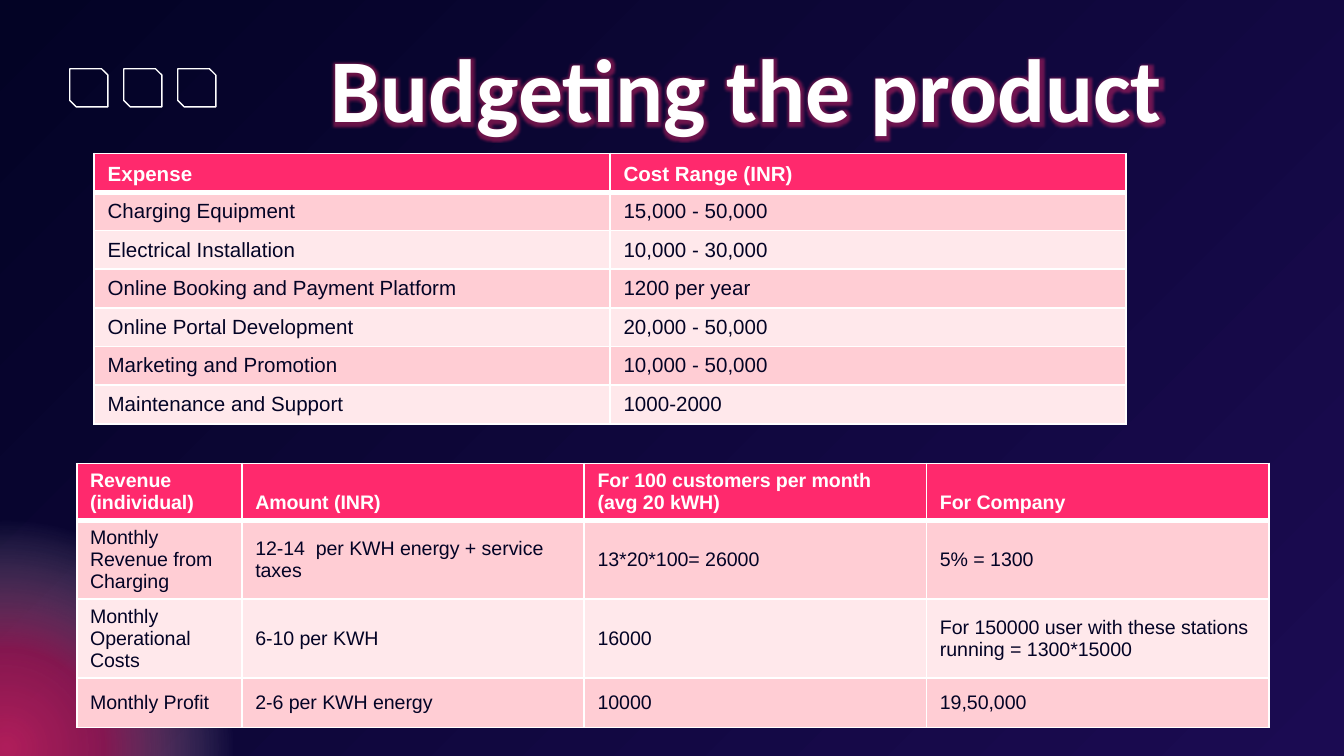
from lxml import etree
from pptx import Presentation
from pptx.dml.color import RGBColor
from pptx.enum.shapes import MSO_SHAPE
from pptx.enum.text import MSO_ANCHOR, PP_ALIGN
from pptx.oxml import parse_xml
from pptx.oxml.ns import qn
from pptx.util import Cm, Pt

OVAL = MSO_SHAPE.OVAL
SNIPPED = MSO_SHAPE.SNIP_2_DIAG_RECTANGLE
MIDDLE, BOTTOM = MSO_ANCHOR.MIDDLE, MSO_ANCHOR.BOTTOM
CENTER = PP_ALIGN.CENTER
DRAWING_NS = "http://schemas.openxmlformats.org/drawingml/2006/main"

EXPENSES = [
    ("Expense", "Cost Range (INR)"),
    ("Charging Equipment", "15,000 - 50,000"),
    ("Electrical Installation", "10,000 - 30,000"),
    ("Online Booking and Payment Platform", "1200 per year"),
    ("Online Portal Development", "20,000 - 50,000"),
    ("Marketing and Promotion", "10,000 - 50,000"),
    ("Maintenance and Support", "1000-2000"),
]
REVENUE = [
    ("Revenue\n(individual)", "Amount (INR)",
     "For 100 customers per month (avg 20 kWH)", "For Company"),
    ("Monthly Revenue from Charging", "12-14  per KWH energy + service taxes",
     "13*20*100= 26000", "5% = 1300"),
    ("Monthly Operational Costs", "6-10 per KWH", "16000",
     "For 150000 user with these stations running = 1300*15000"),
    ("Monthly Profit", "2-6 per KWH energy", "10000", "19,50,000"),
]


def rgb(color):
    return RGBColor.from_string(color)


class BudgetSlide:
    PINK, WHITE, NAVY, VIOLET = "FF296D", "FFFFFF", "030325", "1B0B52"
    BANDS = ("FFCDD4", "FFE8EB")
    TITLE_FONT, BODY_FONT = "Calibri", "Arial"

    def __init__(self, presentation):
        self.slide = presentation.slides.add_slide(presentation.slide_layouts[5])
        self.shapes = self.slide.shapes

    def background(self):
        fill = self.slide.background.fill
        fill.gradient()
        fill.gradient_angle = 315
        for stop, color in zip(fill.gradient_stops, (self.NAVY, self.VIOLET)):
            stop.color.rgb = rgb(color)

    def format_font(self, paragraph, font_name, size, color, bold):
        for run in paragraph.runs:
            font = run.font
            font.name, font.size, font.bold = font_name, Pt(size), bold
            font.color.rgb = rgb(color)

    def halo(self, left, top, diameter):
        """Round glow that fades out from its centre."""
        glow = self.shapes.add_shape(OVAL, Cm(left), Cm(top), Cm(diameter), Cm(diameter))
        glow.shadow.inherit = False
        glow.line.fill.background()
        stops = [(0, self.PINK, 67), (30, self.PINK, 49), (69, self.WHITE, 0), (100, self.WHITE, 0)]
        stop_xml = "".join(
            f'<a:gs pos="{position * 1000}"><a:srgbClr val="{color}">'
            f'<a:alpha val="{alpha * 1000}"/></a:srgbClr></a:gs>'
            for position, color, alpha in stops)
        gradient = parse_xml(
            f'<a:gradFill xmlns:a="{DRAWING_NS}" rotWithShape="1"><a:gsLst>{stop_xml}</a:gsLst>'
            '<a:path path="circle"><a:fillToRect l="50000" t="50000" r="50000" b="50000"/>'
            '</a:path></a:gradFill>')
        glow._element.spPr.find(qn("a:prstGeom")).addnext(gradient)

    def snipped_square(self, left, top, side):
        square = self.shapes.add_shape(SNIPPED, Cm(left), Cm(top), Cm(side), Cm(side))
        square.shadow.inherit = False
        square.adjustments[0], square.adjustments[1] = 0, 0.167
        square.fill.background()
        square.line.color.rgb = rgb(self.WHITE)
        square.line.width = Pt(0.75)

    def title(self, text, left, top, width, height):
        heading = self.shapes.title
        heading.left, heading.top = Cm(left), Cm(top)
        heading.width, heading.height = Cm(width), Cm(height)
        frame = heading.text_frame
        frame.text = text
        frame.vertical_anchor = MIDDLE
        frame.margin_left = frame.margin_right = Cm(0.25)
        frame.margin_top = frame.margin_bottom = Cm(0.25)
        paragraph = frame.paragraphs[0]
        paragraph.alignment = CENTER
        self.format_font(paragraph, self.TITLE_FONT, 48, self.WHITE, True)
        glow = parse_xml(
            f'<a:effectLst xmlns:a="{DRAWING_NS}"><a:glow rad="63500">'
            f'<a:srgbClr val="{self.PINK}"><a:alpha val="40000"/></a:srgbClr>'
            '</a:glow></a:effectLst>')
        paragraph.runs[0].font._element.find(qn("a:solidFill")).addnext(glow)
        self.shapes._spTree.append(heading._element)

    def cell_borders(self, cell, top, bottom):
        properties = cell._tc.get_or_add_tcPr()
        for side, points in (("lnL", 1), ("lnR", 1), ("lnT", top), ("lnB", bottom)):
            border = etree.SubElement(properties, qn(f"a:{side}"), w=str(Pt(points)))
            fill = etree.SubElement(border, qn("a:solidFill"))
            etree.SubElement(fill, qn("a:srgbClr"), val=self.WHITE)

    def table(self, rows, left, top, widths, heights, size):
        table = self.shapes.add_table(
            len(rows), len(widths), Cm(left), Cm(top),
            Cm(sum(widths)), Cm(sum(heights))).table
        for column, width in zip(table.columns, widths):
            column.width = Cm(width)
        for row, height in zip(table.rows, heights):
            row.height = Cm(height)
        for row_index, texts in enumerate(rows):
            header = row_index == 0
            band = self.PINK if header else self.BANDS[(row_index - 1) % 2]
            for column_index, text in enumerate(texts):
                cell = table.cell(row_index, column_index)
                cell.text_frame.text = text
                cell.vertical_anchor = BOTTOM if header else MIDDLE
                self.cell_borders(cell, top=3 if row_index == 1 else 1, bottom=3 if header else 1)
                cell.fill.solid()
                cell.fill.fore_color.rgb = rgb(band)
                for paragraph in cell.text_frame.paragraphs:
                    self.format_font(paragraph, self.BODY_FONT, size,
                                     self.WHITE if header else self.NAVY, header)


def main():
    presentation = Presentation()
    presentation.slide_width, presentation.slide_height = Cm(25.4), Cm(14.29)
    budget = BudgetSlide(presentation)
    budget.background()
    budget.halo(-4.29, 9.73, 8.79)
    for index in range(3):
        budget.snipped_square(1.32 + 1.02 * index, 1.3, 0.72)
    budget.title("Budgeting the product", -0.28, -0.58, 28.78, 4.45)
    budget.table(EXPENSES, 1.78, 2.9, [9.75] * 2, [0.73] * len(EXPENSES), 11)
    budget.table(REVENUE, 1.45, 8.76, [3.12] + [6.47] * 3, [1.07, 1.48, 1.48, 0.94], 10.5)
    presentation.save("out.pptx")


if __name__ == "__main__":
    main()
